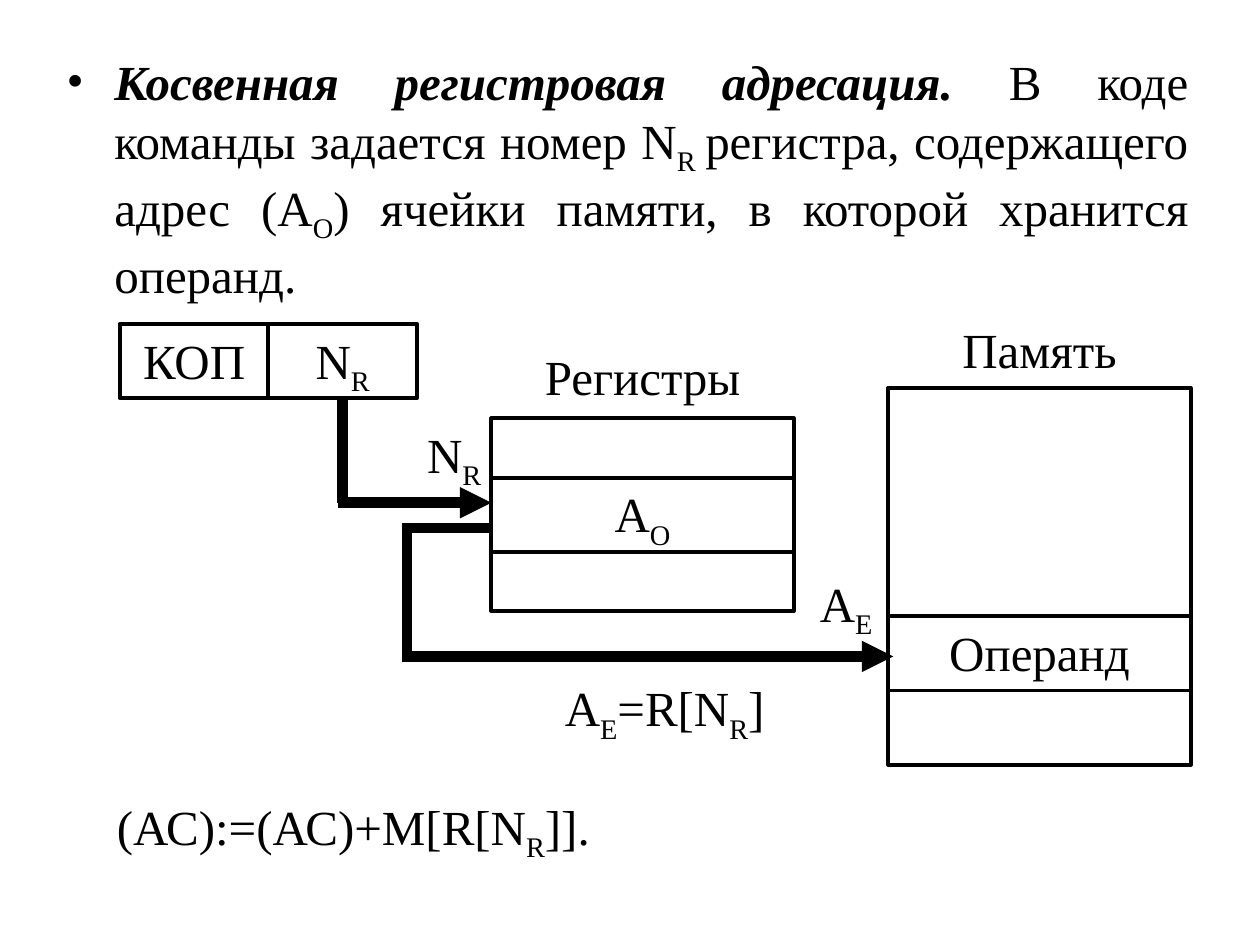
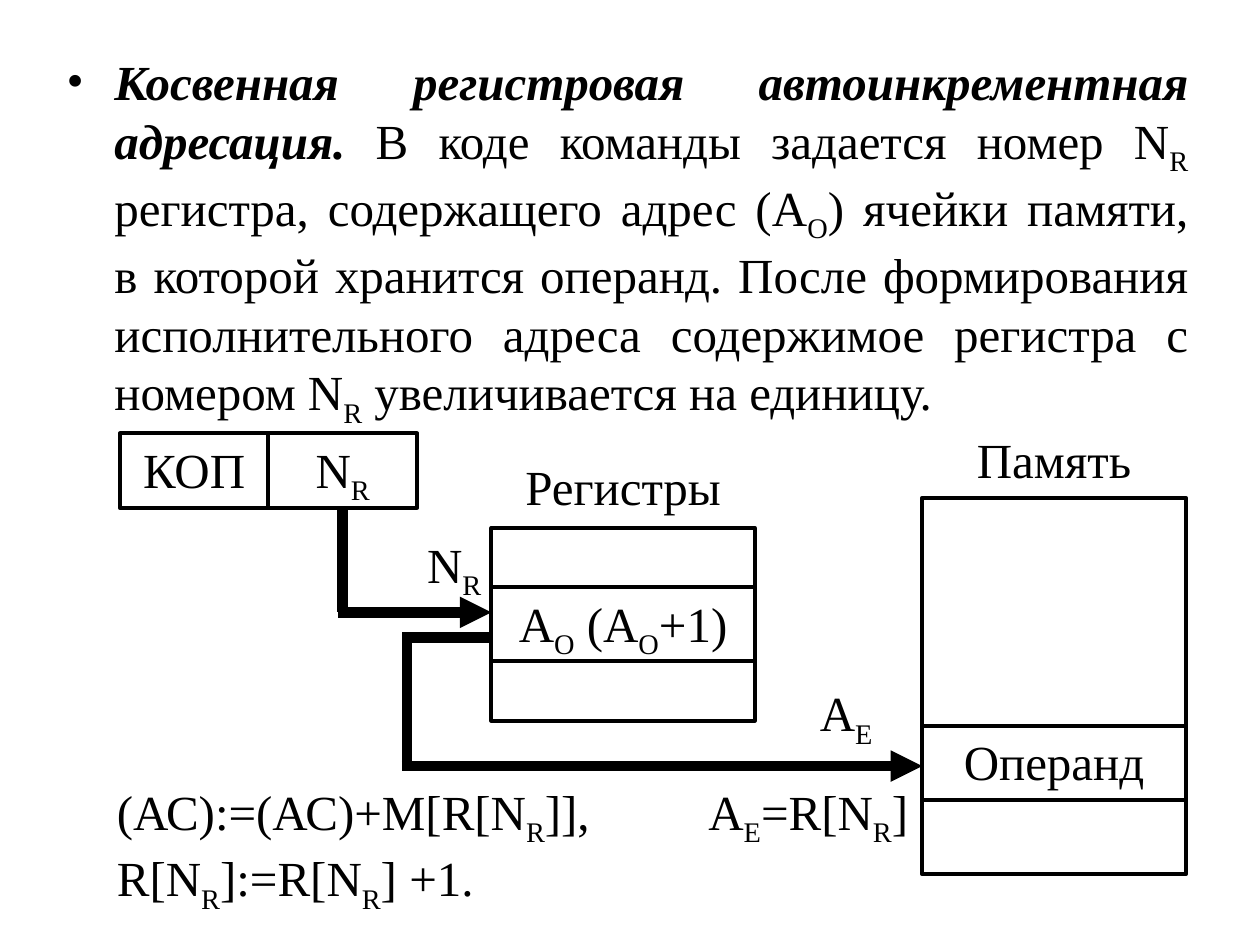
"""Build two slides on register-indirect addressing and its autoincrement variant."""
from dataclasses import dataclass

from lxml.etree import SubElement
from pptx import Presentation
from pptx.dml.color import RGBColor
from pptx.enum.shapes import MSO_CONNECTOR as Connector, MSO_SHAPE as Shape
from pptx.enum.text import MSO_ANCHOR as Anchor, PP_ALIGN as Align
from pptx.oxml.ns import qn
from pptx.util import Inches, Pt


# In every text, the parts between bars are subscripts: "N|R|".
SLIDES = [
    {
        "term": "Косвенная регистровая адресация.",
        "definition": " В коде команды задается номер N|R |регистра, содержащего адрес (А|О|) "
                      "ячейки памяти, в которой хранится операнд.",
        "definition_height": 2.13,
        "diagram_top": 2.57,
        "register": "А|О|",
        "block_width": 2.4,
        "memory_left": 7.05,
        "arrow_end": 7.09,
        "address": (4.29, 5.33),
        "operations": ["(АС):=(АС)+М[R[N|R|]]."],
        "operations_box": (0.83, 6.27, 5.91, 0.63),
    },
    {
        "term": "Косвенная регистровая автоинкрементная адресация.",
        "definition": " В коде команды задается номер N|R |регистра, содержащего адрес (А|О|) "
                      "ячейки памяти, в которой хранится операнд. После формирования "
                      "исполнительного адреса содержимое регистра с номером N|R| "
                      "увеличивается на единицу.",
        "definition_height": 2.95,
        "diagram_top": 3.44,
        "register": "А|О| (А|О|+1)",
        "block_width": 2.09,
        "memory_left": 7.32,
        "arrow_end": 7.32,
        "address": (5.43, 6.15),
        "operations": ["(АС):=(АС)+М[R[N|R|]],", "R[N|R|]:=R[N|R|] +1."],
        "operations_box": (0.83, 6.15, 4.37, 1.16),
    },
]
COMMAND_FIELDS = ["КОП", "N|R|"]
FIELD_WIDTH = 1.18
COMMAND_LEFT, REGISTERS_LEFT = 0.95, 3.9
ROW = 0.59
REGISTER_ROWS = (0.47, ROW, 0.47)
MEMORY_ROWS = (1.81, ROW, ROW)
RETURN_X = 3.23


@dataclass(frozen=True)
class Theme:
    font: str = "Times New Roman"
    size: float = 28
    ink: RGBColor = RGBColor(0, 0, 0)
    paper: RGBColor = RGBColor(255, 255, 255)
    border: float = 2.25
    wire: float = 6


THEME = Theme()


def add_run(paragraph, text, emphasis=False, subscript=False):
    run = paragraph.add_run()
    run.text = text
    run.font.name = THEME.font
    run.font.size = Pt(THEME.size)
    run.font.color.rgb = THEME.ink
    run.font.bold = run.font.italic = emphasis
    if subscript:
        run.font._element.set("baseline", "-25000")


def add_marked_text(paragraph, text):
    for index, part in enumerate(text.split("|")):
        if part:
            add_run(paragraph, part, subscript=index % 2 == 1)


def fill_frame(frame, lines, align):
    frame.word_wrap = True
    frame.vertical_anchor = Anchor.TOP
    for index, line in enumerate(lines):
        paragraph = frame.add_paragraph() if index else frame.paragraphs[0]
        paragraph.alignment = align
        add_marked_text(paragraph, line)


def add_text(slide, box, lines, align=Align.CENTER):
    shape = slide.shapes.add_textbox(*map(Inches, box))
    fill_frame(shape.text_frame, lines, align)


def add_cell(slide, box, text):
    shape = slide.shapes.add_shape(Shape.RECTANGLE, *map(Inches, box))
    shape.shadow.inherit = False
    shape.fill.background()
    shape.line.color.rgb = THEME.ink
    shape.line.width = Pt(THEME.border)
    if text:
        fill_frame(shape.text_frame, [text], Align.CENTER)


def add_stack(slide, left, top, width, heights, middle_text):
    for height, text in zip(heights, ("", middle_text, "")):
        add_cell(slide, (left, top, width, height), text)
        top += height


def add_wire(slide, start, end, arrow=False):
    wire = slide.shapes.add_connector(Connector.STRAIGHT, *map(Inches, start + end))
    wire.line.color.rgb = THEME.ink
    wire.line.width = Pt(THEME.wire)
    if arrow:
        SubElement(wire.line._get_or_add_ln(), qn("a:tailEnd"), type="triangle")
    SubElement(wire._element.spPr, qn("a:effectLst"))


def add_definition(slide, content):
    box = slide.shapes.add_textbox(*map(Inches, (0.43, 0.36, 9.1, content["definition_height"])))
    box.text_frame.word_wrap = True
    paragraph = box.text_frame.paragraphs[0]
    paragraph.alignment = Align.JUSTIFY
    properties = paragraph._p.get_or_add_pPr()
    properties.set("marL", str(Inches(0.38)))
    properties.set("indent", str(-Inches(0.38)))
    color = SubElement(properties, qn("a:buClr"))
    SubElement(color, qn("a:srgbClr"), val=str(THEME.ink))
    SubElement(properties, qn("a:buFont"), typeface=THEME.font)
    SubElement(properties, qn("a:buChar"), char="•")
    add_run(paragraph, content["term"], emphasis=True)
    add_marked_text(paragraph, content["definition"])


def add_diagram(slide, content):
    top, width, memory_left = (content[key] for key in ("diagram_top", "block_width", "memory_left"))
    registers_top, memory_top = top + 0.75, top + 0.51
    register_top = registers_top + REGISTER_ROWS[0]

    for index, field in enumerate(COMMAND_FIELDS):
        add_cell(slide, (COMMAND_LEFT + index * FIELD_WIDTH, top, FIELD_WIDTH, ROW), field)
    add_stack(slide, REGISTERS_LEFT, registers_top, width, REGISTER_ROWS, content["register"])
    add_stack(slide, memory_left, memory_top, width, MEMORY_ROWS, "Операнд")

    labels = [
        ("Регистры", REGISTERS_LEFT, registers_top - 0.62, width),
        ("Память", memory_left, memory_top - ROW, width),
        ("N|R|", RETURN_X, registers_top, 0.75),
        ("А|Е|", 6.34, top + 1.93, 0.75),
        ("А|Е|=R[N|R|]", *content["address"], 1.97),
    ]
    for text, left, label_top, label_width in labels:
        add_text(slide, (left, label_top, label_width, ROW), [text])

    field_x = COMMAND_LEFT + 1.5 * FIELD_WIDTH
    input_y, output_y, operand_y = register_top + 0.2, register_top + 0.4, top + 2.64
    overlap = 0.04
    add_wire(slide, (field_x, top + ROW), (field_x, input_y))
    add_wire(slide, (field_x - overlap, input_y), (REGISTERS_LEFT, input_y), arrow=True)
    add_wire(slide, (REGISTERS_LEFT, output_y), (RETURN_X + overlap, output_y))
    add_wire(slide, (RETURN_X, output_y - overlap), (RETURN_X, operand_y))
    add_wire(slide, (RETURN_X - overlap, operand_y), (content["arrow_end"], operand_y), arrow=True)


def main():
    presentation = Presentation()
    presentation.slide_width, presentation.slide_height = Inches(10), Inches(7.5)
    for content in SLIDES:
        slide = presentation.slides.add_slide(presentation.slide_layouts[6])
        slide.background.fill.solid()
        slide.background.fill.fore_color.rgb = THEME.paper
        add_definition(slide, content)
        add_diagram(slide, content)
        add_text(slide, content["operations_box"], content["operations"], Align.LEFT)
    presentation.save("out.pptx")


if __name__ == "__main__":
    main()
